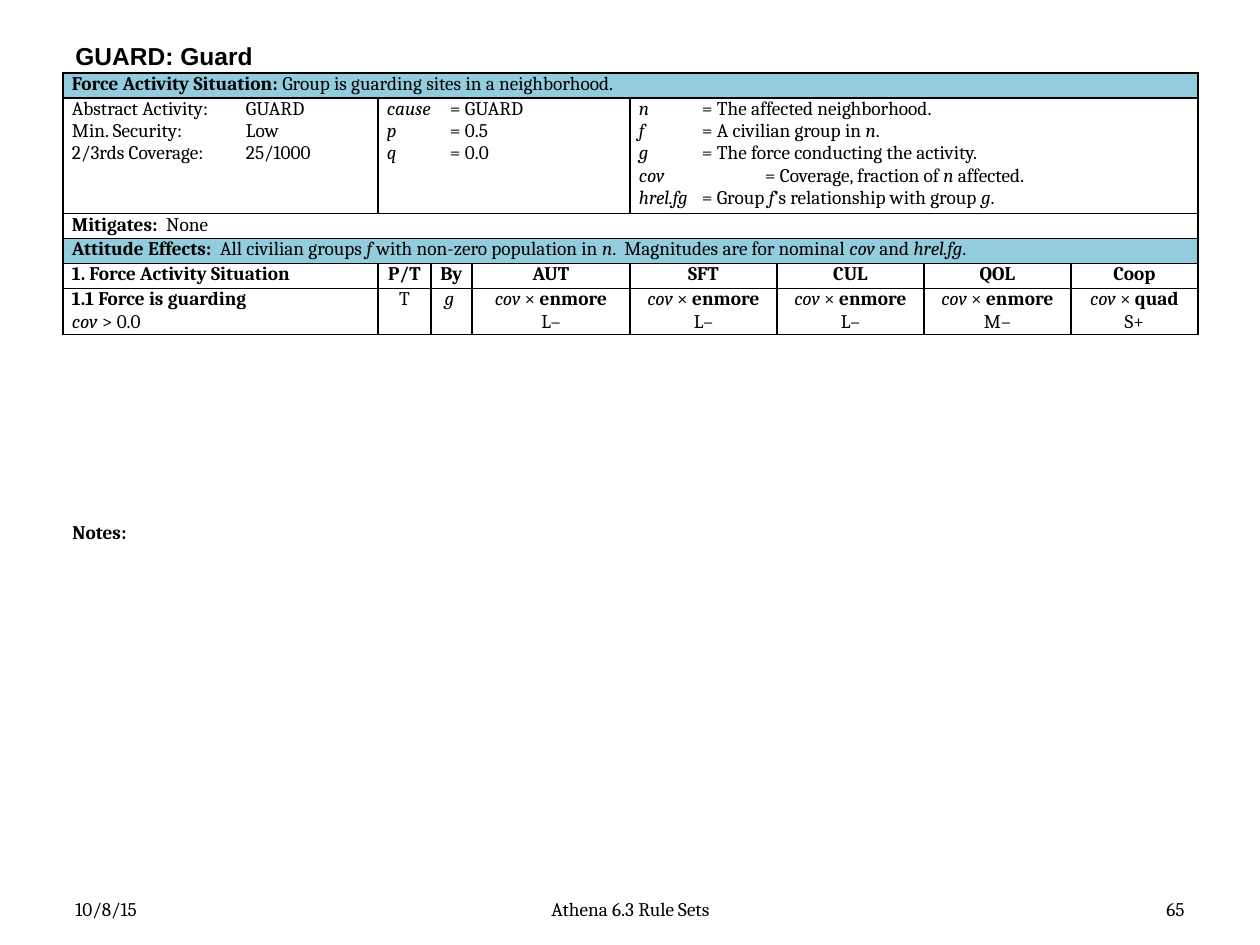
"""Build the GUARD rule set slide with its force activity table."""
from dataclasses import dataclass

from lxml import etree
from pptx import Presentation
from pptx import util as u
from pptx.enum import text
from pptx.dml import color
from pptx.oxml import ns

SCALE = 914400 / 126
COLORS = {"ink": "000000", "band": "93CDDD", "paper": "FFFFFF"}
ALIGN = text.PP_ALIGN
COLUMNS = [315, 53, 41, 158, 147, 147, 147, 127]
ROWS = [25, 112, 25, 25, 25, 45]


@dataclass(frozen=True)
class Label:
    words: str
    left: int
    top: int
    width: int
    height: int
    align: ALIGN = ALIGN.LEFT
    size: int = 11
    font: str = "Cambria"
    anchor: text.MSO_ANCHOR = text.MSO_ANCHOR.MIDDLE


@dataclass(frozen=True)
class Entry:
    lines: tuple[str, ...]
    span: int = 1
    align: ALIGN = ALIGN.LEFT
    tabs: tuple[int, ...] = ()
    fill: str = "paper"


LABELS = [
    Label("*GUARD: Guard*", 63, 38, 1134, 35, size=14, font="Arial"),
    Label("10/8/15", 63, 892, 294, 34),
    Label("Athena 6.3 Rule Sets", 431, 892, 399, 34, ALIGN.CENTER),
    Label("65", 903, 892, 294, 34, ALIGN.RIGHT),
    Label("*Notes:*", 60, 514, 1144, 37, anchor=text.MSO_ANCHOR.TOP),
]
HEADINGS = ["P/T", "By", "AUT", "SFT", "CUL", "QOL", "Coop"]
EFFECTS = [("enmore", "L–"), ("enmore", "L–"), ("enmore", "L–"), ("enmore", "M–"), ("quad", "S+")]
SITUATION = [
    Entry(("Abstract Activity:\tGUARD", "Min. Security:\tLow", "2/3rds Coverage:\t25/1000"),
          tabs=(174,) * 3),
    Entry(("_cause_\t= GUARD", "_p_\t= 0.5", "_q_\t= 0.0"), 3, tabs=(63,) * 3),
    Entry(("_n_\t= The affected neighborhood.",
           "_f\t_= A civilian group in _n_.",
           "_g_ \t= The force conducting the activity.",
           "_cov\t_= Coverage, fraction of _n_ affected.",
           "_hrel.fg\t_= Group _f_’s relationship with group _g_."),
          4, tabs=(63, 63, 63, 126, 63)),
]
ENTRIES = [
    [Entry(("*Force Activity Situation:* Group is guarding sites in a neighborhood.",),
           8, fill="band")],
    SITUATION,
    [Entry(("*Mitigates:*  None",), 8)],
    [Entry(("*Attitude Effects:  *All civilian groups _f _with non-zero population in _n_."
            "  Magnitudes are for nominal _cov _and _hrel.fg_.",), 8, fill="band")],
    [Entry(("*1. Force Activity Situation*",))]
    + [Entry((f"*{heading}*",), align=ALIGN.CENTER) for heading in HEADINGS],
    [Entry(("*1.1 Force is guarding*", "_cov_ > 0.0")),
     Entry(("T",), align=ALIGN.CENTER), Entry(("_g _",), align=ALIGN.CENTER)]
    + [Entry((f"_cov_ × *{curve}*", size), align=ALIGN.CENTER) for curve, size in EFFECTS],
]


def px(length: int) -> u.Emu:
    """Turn px into EMU."""
    return u.Emu(round(length * SCALE))


def write_line(para, words: str, *, size: int = 11, font: str = "Cambria",
               align: ALIGN = ALIGN.LEFT, tab: int = 0) -> None:
    """Write one paragraph in which *stars* mean bold and _underscores_ italic."""
    para.alignment = align
    if tab:
        stops = etree.SubElement(para._p.get_or_add_pPr(), ns.qn("a:tabLst"))
        etree.SubElement(stops, ns.qn("a:tab"), pos=str(px(tab)), algn="l")
    for bold, part in enumerate(words.split("*")):
        for italic, piece in enumerate(part.split("_")):
            if piece:
                span = para.add_run()
                span.text = piece
                span.font.name, span.font.size = font, u.Pt(size)
                span.font.bold, span.font.italic = bold % 2 == 1, italic % 2 == 1
                span.font.color.rgb = color.RGBColor.from_string(COLORS["ink"])


def draw_label(page, label: Label) -> None:
    """Draw a single-line text box."""
    box = page.shapes.add_textbox(*map(px, (label.left, label.top, label.width, label.height)))
    frame = box.text_frame
    frame.word_wrap = True
    frame.vertical_anchor = label.anchor
    write_line(frame.paragraphs[0], label.words, size=label.size, font=label.font,
               align=label.align)


def style_cell(cell, fill: str) -> None:
    """Give a cell its margins, black borders and fill."""
    cell.margin_left = cell.margin_right = px(9)
    cell.margin_top = cell.margin_bottom = 0
    for side in ("lnL", "lnR", "lnT", "lnB"):
        line = etree.SubElement(cell._tc.get_or_add_tcPr(), ns.qn(f"a:{side}"), w=str(u.Pt(1)))
        solid = etree.SubElement(line, ns.qn("a:solidFill"))
        etree.SubElement(solid, ns.qn("a:srgbClr"), val=COLORS["ink"])
    cell.fill.solid()
    cell.fill.fore_color.rgb = color.RGBColor.from_string(COLORS[fill])


def draw_table(page, entries: list[list[Entry]]) -> None:
    """Draw the rule table, merging the cells that an entry spans."""
    table = page.shapes.add_table(len(ROWS), len(COLUMNS), px(63), px(73),
                                  px(sum(COLUMNS)), px(sum(ROWS))).table
    table.first_row = table.horz_banding = False
    for column, width in zip(table.columns, COLUMNS):
        column.width = px(width)
    for index, (row, height) in enumerate(zip(table.rows, ROWS)):
        row.height = px(height)
        start = 0
        for entry in entries[index]:
            end = start + entry.span
            for place in range(start, end):
                style_cell(table.cell(index, place), entry.fill)
            cell = table.cell(index, start)
            if entry.span > 1:
                cell.merge(table.cell(index, end - 1))
            for number, words in enumerate(entry.lines):
                frame = cell.text_frame
                para = frame.add_paragraph() if number else frame.paragraphs[0]
                write_line(para, words, align=entry.align,
                           tab=entry.tabs[number] if entry.tabs else 0)
            start = end


def main() -> None:
    """Build and save the deck."""
    deck = Presentation()
    deck.slide_width, deck.slide_height = px(1260), px(945)
    page = deck.slides.add_slide(deck.slide_layouts[6])
    for label in LABELS:
        draw_label(page, label)
    draw_table(page, ENTRIES)
    deck.save("out.pptx")


if __name__ == "__main__":
    main()
